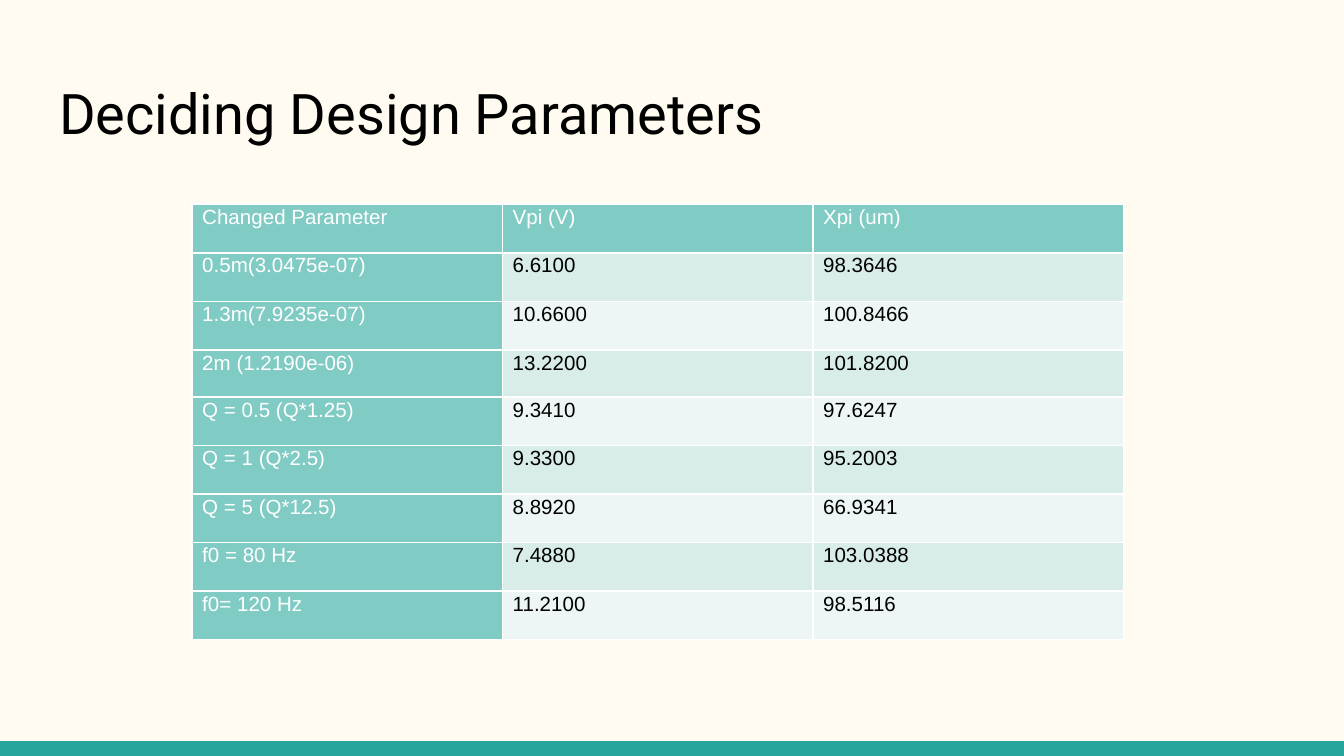
"""Build the design parameter slide with its table of results."""
from pptx import Presentation
from pptx.dml.color import RGBColor
from pptx.enum.shapes import MSO_SHAPE
from pptx.enum.text import MSO_ANCHOR, MSO_AUTO_SIZE, PP_ALIGN
from pptx.oxml.ns import qn
from pptx.util import Inches, Pt
from lxml import etree

RECT = MSO_SHAPE.RECTANGLE
TOP = MSO_ANCHOR.TOP
LEFT = PP_ALIGN.LEFT
FIXED = MSO_AUTO_SIZE.NONE

CREAM = RGBColor(0xFF, 0xFB, 0xF0)
TEAL = RGBColor(0x26, 0xA6, 0x9A)
MINT = RGBColor(0x80, 0xCB, 0xC4)
PALE = RGBColor(0xED, 0xF6, 0xF5)
SOFT = RGBColor(0xD8, 0xEC, 0xEA)
WHITE = RGBColor(0xFF, 0xFF, 0xFF)
BLACK = RGBColor(0, 0, 0)

TITLE = "Deciding Design Parameters"
ROWS = [
    ("Changed Parameter", "Vpi (V)", "Xpi (um)"),
    ("0.5m(3.0475e-07)", "6.6100", "98.3646"),
    ("1.3m(7.9235e-07)", "10.6600", "100.8466"),
    ("2m (1.2190e-06)", "13.2200", "101.8200"),
    ("Q = 0.5 (Q*1.25)", "9.3410", "97.6247"),
    ("Q = 1 (Q*2.5)", "9.3300", "95.2003"),
    ("Q = 5 (Q*12.5)", "8.8920", "66.9341"),
    ("f0 = 80 Hz", "7.4880", "103.0388"),
    ("f0= 120 Hz", "11.2100", "98.5116"),
]
WIDE = Inches(10)
HIGH = WIDE * 9 // 16
STRIP = Inches(0.11)
COL, ROW, SHORT = Inches(2.31), Pt(26), Inches(0.35)
SHORT_ROW = 3


def style(para, font, size, color):
    """Format the runs of a paragraph."""
    for run in para.runs:
        run.font.name = font
        run.font.size = Pt(size)
        run.font.bold = False
        run.font.color.rgb = color


def add_edges(cell):
    """Draw thin white borders round a cell."""
    props = cell._tc.get_or_add_tcPr()
    for side in "LRTB":
        line = etree.SubElement(props, qn(f"a:ln{side}"), w=str(Pt(1)))
        fill = etree.SubElement(line, qn("a:solidFill"))
        etree.SubElement(fill, qn("a:srgbClr"), val=str(WHITE))


def fill_cell(cell, text, row, col):
    """Write and format one table cell."""
    head = row == 0 or col == 0
    add_edges(cell)
    cell.fill.solid()
    cell.fill.fore_color.rgb = MINT if head else (PALE, SOFT)[row % 2]
    cell.margin_left = cell.margin_right = Pt(5.4)
    cell.margin_top = cell.margin_bottom = 0
    cell.vertical_anchor = TOP
    cell.text_frame.text = text
    para = cell.text_frame.paragraphs[0]
    para.line_spacing = 1.07
    para.space_after = Pt(8)
    style(para, "Arial", 11, WHITE if head else BLACK)


def add_title(slide):
    """Place and format the title."""
    title = slide.shapes.title
    title.left, title.top = Inches(0.34), Pt(35)
    title.width, title.height = Inches(9.32), Inches(0.67)
    frame = title.text_frame
    frame.text = TITLE
    frame.auto_size = FIXED
    frame.vertical_anchor = TOP
    frame.margin_left = frame.margin_right = Inches(0.1)
    frame.margin_top = frame.margin_bottom = Inches(0.1)
    para = frame.paragraphs[0]
    para.alignment = LEFT
    style(para, "Roboto", 30, BLACK)


def add_grid(slide):
    """Add the table of results."""
    count, cols = len(ROWS), len(ROWS[0])
    table = slide.shapes.add_table(
        count, cols, Inches(1.43), Inches(1.52), COL * cols, ROW * count).table
    for col in table.columns:
        col.width = COL
    for row, texts in enumerate(ROWS):
        table.rows[row].height = SHORT if row == SHORT_ROW else ROW
        for col, text in enumerate(texts):
            fill_cell(table.cell(row, col), text, row, col)


def main():
    """Build and save the slide."""
    deck = Presentation()
    deck.slide_width, deck.slide_height = WIDE, HIGH
    slide = deck.slides.add_slide(deck.slide_layouts[5])
    slide.background.fill.solid()
    slide.background.fill.fore_color.rgb = CREAM
    strip = slide.shapes.add_shape(RECT, 0, HIGH - STRIP, WIDE, STRIP)
    strip.shadow.inherit = False
    strip.fill.solid()
    strip.fill.fore_color.rgb = TEAL
    strip.line.fill.background()
    add_title(slide)
    add_grid(slide)
    deck.save("out.pptx")


if __name__ == "__main__":
    main()
